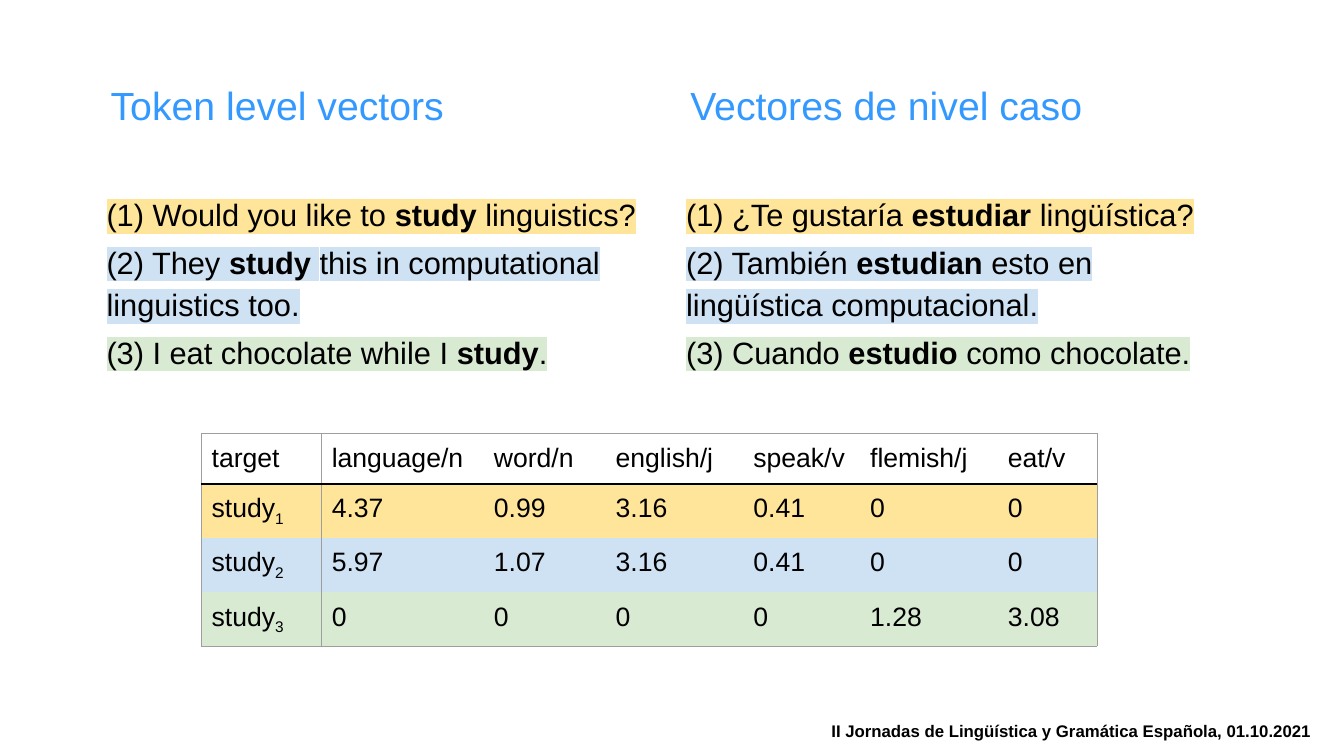
from lxml import etree
from pptx import Presentation
from pptx.dml.color import RGBColor
from pptx.enum.text import MSO_ANCHOR, PP_ALIGN
from pptx.oxml.ns import qn
from pptx.util import Inches, Pt

TOP, MID = MSO_ANCHOR.TOP, MSO_ANCHOR.MIDDLE
LEFT, RIGHT = PP_ALIGN.LEFT, PP_ALIGN.RIGHT
COLS, ROWS = 160, 90  # grid over the whole slide

HUES = {"ink": "000000", "head": "3399FF", "rule": "9E9E9E",
        "gold": "FFE599", "blue": "CFE2F3", "green": "D9EAD3"}
MARKS = ("gold", "blue", "green")
THIN, THICK = ("rule", 0.75), ("ink", 1.5)


class Deck:
    font = "Arial"

    def __init__(self):
        self.prs = Presentation()
        self.prs.slide_width = Inches(13.33)
        self.prs.slide_height = Inches(7.5)
        self.slide = self.prs.slides.add_slide(self.prs.slide_layouts[6])

    def x(self, n):
        return round(self.prs.slide_width * n / COLS)

    def y(self, n):
        return round(self.prs.slide_height * n / ROWS)

    def area(self, left, top, width, height):
        return self.x(left), self.y(top), self.x(width), self.y(height)

    def set(self, item, form):
        for key, value in form.items():
            setattr(item, key, value)

    def run(self, para, text, size, hue="ink", bold=False, mark=None, sub=False):
        run = para.add_run()
        run.text = text
        self.set(run.font, {"size": Pt(size), "bold": bold, "name": self.font})
        run.font.color.rgb = RGBColor.from_string(HUES[hue])
        props = run.font._element
        if sub:
            props.set("baseline", "-25000")
        if mark:
            light = etree.Element(qn("a:highlight"))
            etree.SubElement(light, qn("a:srgbClr"), val=HUES[mark])
            props.find(qn("a:solidFill")).addnext(light)

    def box(self, spot, anchor=MID, inset=0.05):
        frame = self.slide.shapes.add_textbox(*self.area(*spot)).text_frame
        self.set(frame, {"word_wrap": True, "vertical_anchor": anchor,
                         "margin_top": Inches(inset)})
        return frame

    def line(self, spot, text, size, hue="ink", bold=False, align=LEFT):
        para = self.box(spot).paragraphs[0]
        para.alignment = align
        self.run(para, text, size, hue, bold)

    def list(self, spot, lines):
        """Marked lines; the part between asterisks is bold."""
        frame = self.box(spot, TOP, 0.1)
        for i, (text, mark) in enumerate(zip(lines, MARKS)):
            para = frame.add_paragraph() if i else frame.paragraphs[0]
            para.line_spacing = 1.15
            if i:
                para.space_before = Pt(3.6)
            for j, part in enumerate(text.split("*")):
                self.run(para, part, 22, bold=j == 1, mark=mark)

    def edge(self, cell, sides):
        props = cell._tc.get_or_add_tcPr()
        for i, (side, style) in enumerate(sides.items()):
            line = etree.Element(qn("a:ln" + side))
            if style:
                hue, width = style
                line.set("w", str(Pt(width)))
                fill = etree.SubElement(line, qn("a:solidFill"))
                etree.SubElement(fill, qn("a:srgbClr"), val=HUES[hue])
            else:
                etree.SubElement(line, qn("a:noFill"))
            props.insert(i, line)

    def table(self, left, top, widths, heights, rows):
        spot = self.area(left, top, sum(widths), sum(heights))
        table = self.slide.shapes.add_table(len(rows), len(widths), *spot).table
        self.set(table, {"first_row": False, "horz_banding": False})
        for col, width in zip(table.columns, widths):
            col.width = self.x(width)
        for row, height in zip(table.rows, heights):
            row.height = self.y(height)
        end, last = len(rows) - 1, len(widths) - 1
        pad = dict.fromkeys(("margin_left", "margin_right", "margin_top",
                             "margin_bottom"), Inches(0.1))
        for r, row in enumerate(rows):
            for c, text in enumerate(row):
                cell = table.cell(r, c)
                self.set(cell, pad)
                if r:
                    cell.fill.solid()
                    cell.fill.fore_color.rgb = RGBColor.from_string(HUES[MARKS[r - 1]])
                else:
                    cell.fill.background()
                para = cell.text_frame.paragraphs[0]
                self.run(para, text, 19)
                if r and c == 0:
                    self.run(para, str(r), 19, sub=True)
                self.edge(cell, {
                    "L": THIN if c < 2 else None,
                    "R": THIN if c in (0, last) else None,
                    "T": {0: THIN, 1: THICK}.get(r),
                    "B": {0: THICK, end: THIN}.get(r)})


def main():
    deck = Deck()

    # Vector table
    deck.table(24, 51.6, (14.3, 19.3, 14.5, 16.4, 13.9, 16.4, 11.8),
               (6, 6.4, 6.4, 6.4), (
        ("target", "language/n", "word/n", "english/j", "speak/v", "flemish/j", "eat/v"),
        ("study", "4.37", "0.99", "3.16", "0.41", "0", "0"),
        ("study", "5.97", "1.07", "3.16", "0.41", "0", "0"),
        ("study", "0", "0", "0", "0", "1.28", "3.08")))

    # Footer
    deck.line((94.7, 84, 62.6, 6),
              "II Jornadas de Lingüística y Gramática Española, 01.10.2021",
              12, bold=True, align=RIGHT)

    # English and Spanish halves
    halves = (
        (12, 26.2, "Token level vectors",
         ("(1) Would you like to *study* linguistics?",
          "(2) They *study *this in computational linguistics too.",
          "(3) I eat chocolate while I *study*.")),
        (81, 28.7, "Vectores de nivel caso",
         ("(1) ¿Te gustaría *estudiar* lingüística?",
          "(2) También *estudian *esto en lingüística computacional.",
          "(3) Cuando *estudio* como chocolate.")))
    for left, tall, head, lines in halves:
        deck.line((left, 5, 68, 15), head, 28, "head")
        deck.list((left - 0.5, 21.5, 68, tall), lines)

    deck.prs.save("out.pptx")


if __name__ == "__main__":
    main()
